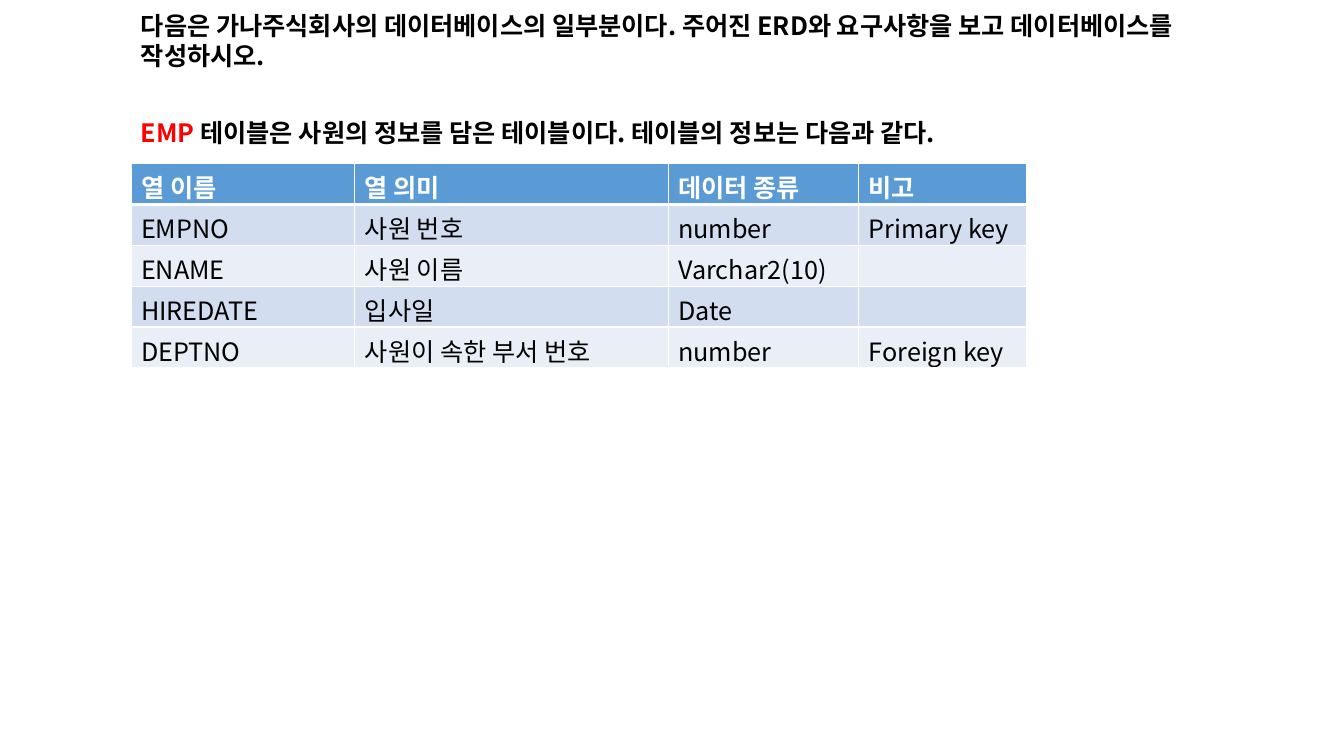
from lxml import etree
from pptx import Presentation
from pptx.dml.color import RGBColor
from pptx.enum.text import MSO_AUTO_SIZE
from pptx.oxml.ns import qn
from pptx.util import Pt

FONT = "Noto Sans CJK KR"
BLACK = RGBColor(0x00, 0x00, 0x00)
WHITE = RGBColor(0xFF, 0xFF, 0xFF)
RED = RGBColor(0xFF, 0x00, 0x00)
HEADER_BLUE = RGBColor(0x5B, 0x9B, 0xD5)
BANDS = (RGBColor(0xD2, 0xDE, 0xEF), RGBColor(0xEA, 0xEF, 0xF7))

COLUMN_WIDTHS = (159.84, 223.92, 136.08, 120.24)
EMP_COLUMNS = (
    ("열 이름", "열 의미", "데이터 종류", "비고"),
    ("EMPNO", "사원 번호", "number", "Primary key"),
    ("ENAME", "사원 이름", "Varchar2(10)", ""),
    ("HIREDATE", "입사일", "Date", ""),
    ("DEPTNO", "사원이 속한 부서 번호", "number", "Foreign key"),
)


def add_run(paragraph, text, color, bold):
    run = paragraph.add_run()
    run.text = text
    font = run.font
    font.name, font.size, font.bold = FONT, Pt(18), bold
    font.color.rgb = color
    east_asian = etree.SubElement(font._element, qn("a:ea"))
    east_asian.set("typeface", FONT)


def add_statement(slide, box, runs):
    """Bold wrapped text; runs are (text, color) pairs."""
    frame = slide.shapes.add_textbox(*map(Pt, box)).text_frame
    frame.word_wrap = True
    frame.auto_size = MSO_AUTO_SIZE.SHAPE_TO_FIT_TEXT
    for text, color in runs:
        add_run(frame.paragraphs[0], text, color, True)


def set_borders(cell, top, bottom):
    properties = cell._tc.get_or_add_tcPr()
    for side, width in (("L", 1), ("R", 1), ("T", top), ("B", bottom)):
        line = etree.SubElement(properties, qn("a:ln" + side), w=str(Pt(width)))
        fill = etree.SubElement(line, qn("a:solidFill"))
        etree.SubElement(fill, qn("a:srgbClr"), val=str(WHITE))


def add_emp_table(slide, box):
    frame = slide.shapes.add_table(len(EMP_COLUMNS), len(COLUMN_WIDTHS), *map(Pt, box))
    table = frame.table
    for column, width in zip(table.columns, COLUMN_WIDTHS):
        column.width = Pt(width)
    for r, values in enumerate(EMP_COLUMNS):
        header = r == 0
        table.rows[r].height = Pt(box[3] / len(EMP_COLUMNS))
        for c, text in enumerate(values):
            cell = table.cell(r, c)
            # The rule under the header is thicker than the others
            set_borders(cell, 3 if r == 1 else 1, 3 if header else 1)
            cell.fill.solid()
            cell.fill.fore_color.rgb = HEADER_BLUE if header else BANDS[(r - 1) % 2]
            if text:
                add_run(cell.text_frame.paragraphs[0], text,
                        WHITE if header else BLACK, header)


def build_question_slide(prs, left, top):
    slide = prs.slides.add_slide(prs.slide_layouts[6])
    # Task
    add_statement(slide, (left, top, 777.6, 51), [
        ("다음은 가나주식회사의 데이터베이스의 일부분이다. 주어진 ERD와 "
         "요구사항을 보고 데이터베이스를 작성하시오.", BLACK)])
    # Table description
    add_statement(slide, (left, top + 76.3, 777.6, 29), [
        ("EMP ", RED),
        ("테이블은 사원의 정보를 담은 테이블이다. 테이블의 정보는 다음과 같다.", BLACK)])
    # Column definitions
    add_emp_table(slide, (left, top + 113.2, sum(COLUMN_WIDTHS), 146))


prs = Presentation()
prs.slide_width, prs.slide_height = Pt(960), Pt(540)
build_question_slide(prs, 93.6, 3.6)
prs.save("out.pptx")
